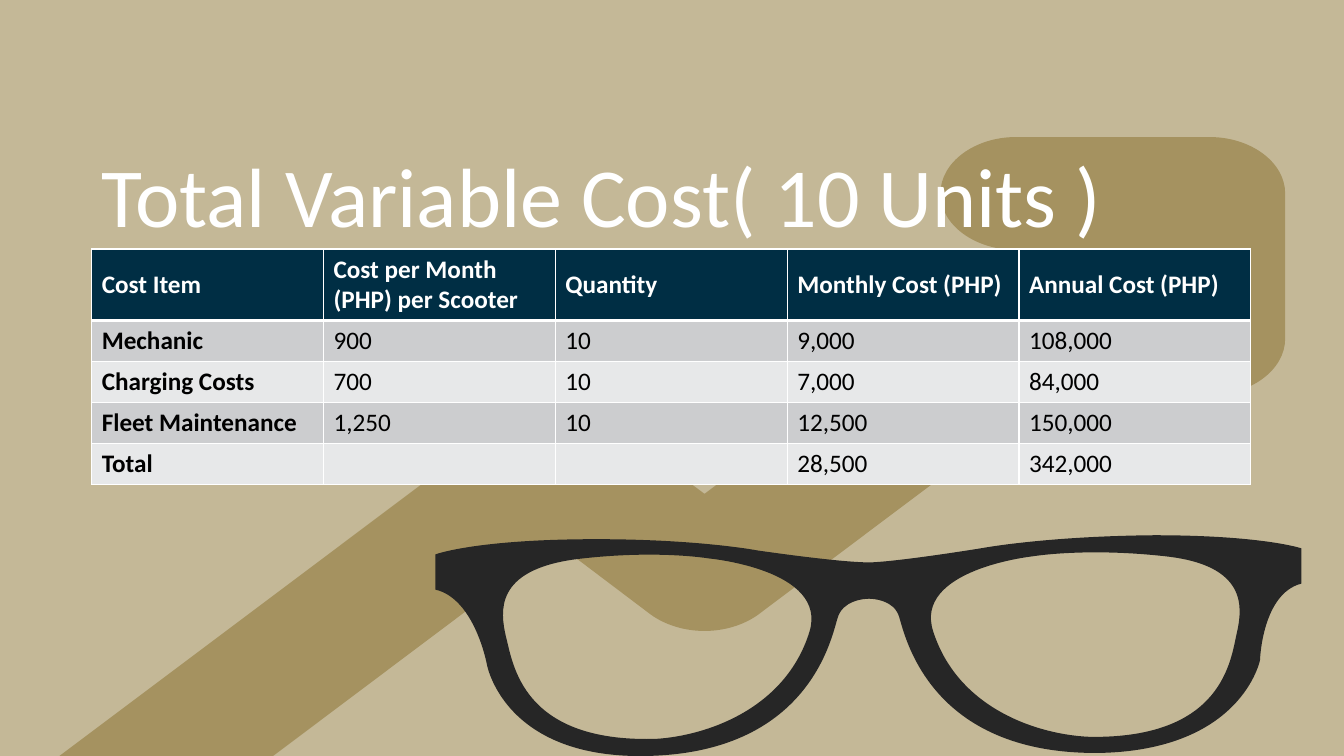
from dataclasses import dataclass

from lxml.etree import SubElement
from pptx import Presentation
from pptx.dml.color import RGBColor
from pptx.enum.text import MSO_ANCHOR, MSO_AUTO_SIZE, PP_ALIGN
from pptx.oxml.ns import qn
from pptx.shapes.autoshape import Shape
from pptx.slide import Slide
from pptx.table import _Cell
from pptx.text.text import Font
from pptx.util import Inches, Pt

COLORS = {
    "background": "C4B897",
    "trend": "A59260",
    "glasses": "262626",
    "header": "002E44",
    "odd_row": "CCCDCF",
    "even_row": "E7E8E9",
    "light": "FFFFFF",
    "dark": "000000",
}
FONT = "Calibri"
COLUMN_WIDTH = 2.3
HEADER_HEIGHT = 0.62
ROW_HEIGHT = 0.35

COSTS = [
    ("Cost Item", "Cost per Month (PHP) per Scooter", "Quantity",
     "Monthly Cost (PHP)", "Annual Cost (PHP)"),
    ("Mechanic", "900", "10", "9,000", "108,000"),
    ("Charging Costs", "700", "10", "7,000", "84,000"),
    ("Fleet Maintenance", "1,250", "10", "12,500", "150,000"),
    ("Total", "", "", "28,500", "342,000"),
]


@dataclass(frozen=True)
class Contour:
    """A closed outline; a step of 2 numbers is a line, of 6 a Bézier curve."""
    start: tuple[float, float]
    steps: list[tuple[float, ...]]


@dataclass(frozen=True)
class Silhouette:
    color: str
    contours: list[Contour]


TREND_ARROW = Silhouette("trend", [
    Contour((12, 1.36), [
        (10.08, 1.36),
        (9.67, 1.36, 9.33, 1.61, 9.33, 1.92),
        (9.33, 2.23, 9.67, 2.48, 10.08, 2.48),
        (10.22, 2.48), (6.99, 4.9), (6.05, 4.2),
        (5.76, 3.98, 5.28, 3.98, 4.99, 4.2),
        (0.59, 7.5), (2.71, 7.5), (5.52, 5.39), (6.46, 6.1),
        (6.6, 6.2, 6.79, 6.26, 6.99, 6.26),
        (7.19, 6.26, 7.38, 6.2, 7.52, 6.1),
        (11.25, 3.3), (11.25, 3.36),
        (11.25, 3.67, 11.58, 3.92, 12, 3.92),
        (12.41, 3.92, 12.75, 3.67, 12.75, 3.36),
        (12.75, 1.92),
        (12.75, 1.61, 12.41, 1.36, 12, 1.36),
    ]),
])

GLASSES = Silhouette("glasses", [
    Contour((12.91, 5.44), [
        (12.91, 5.79),
        (12.52, 5.89, 12.5, 6.55, 12.5, 6.55),
        (12.5, 6.55, 12.32, 7.45, 10.89, 7.47),
        (9.22, 7.48, 8.98, 6.31, 8.92, 6.12),
        (8.87, 5.95, 8.66, 5.94, 8.62, 5.94),
        (8.56, 5.94, 8.36, 5.96, 8.31, 6.13),
        (8.25, 6.32, 8.03, 7.49, 6.37, 7.5),
        (4.99, 7.51, 4.83, 6.59, 4.83, 6.59),
        (4.83, 6.59, 4.71, 5.94, 4.32, 5.85),
        (4.32, 5.5),
        (4.32, 5.5, 4.69, 5.36, 5.79, 5.35),
        (6.88, 5.34, 7.51, 5.46, 7.51, 5.46),
        (7.51, 5.46, 8.32, 5.58, 8.63, 5.58),
        (8.93, 5.57, 9.73, 5.44, 9.73, 5.44),
        (9.73, 5.44, 10.36, 5.32, 11.45, 5.31),
        (12.53, 5.31, 12.91, 5.44, 12.91, 5.44),
    ]),
    Contour((7.03, 5.54), [
        (7.03, 5.54, 6.5, 5.45, 5.7, 5.55),
        (4.91, 5.66, 4.96, 6.06, 5.02, 6.32),
        (5.09, 6.58, 5.17, 7.37, 6.51, 7.33),
        (7, 7.3, 7.79, 7.04, 8.03, 6.27),
        (8.22, 5.65, 7.03, 5.54, 7.03, 5.54),
    ]),
    Contour((9.26, 6.27), [
        (9.51, 7.04, 10.31, 7.29, 10.81, 7.31),
        (12.14, 7.33, 12.21, 6.54, 12.27, 6.28),
        (12.33, 6.02, 12.37, 5.61, 11.57, 5.52),
        (10.77, 5.43, 10.24, 5.52, 10.24, 5.52),
        (10.24, 5.52, 9.05, 5.65, 9.26, 6.27),
    ]),
])


def rgb(name: str) -> RGBColor:
    return RGBColor.from_string(COLORS[name])


def style_font(font: Font, size: int, color: str, bold: bool = False) -> None:
    font.name = FONT
    font.size = Pt(size)
    font.bold = bold
    font.color.rgb = rgb(color)


def bend_segments(shape: Shape, steps: list[tuple[float, ...]]) -> None:
    """Turn the straight segments whose step has control points into curves."""
    segments = list(shape.element.iter(qn("a:lnTo")))
    for segment, step in zip(segments, steps):
        if len(step) == 2:
            continue
        end = segment[0]
        segment.tag = qn("a:cubicBezTo")
        for x, y in (step[:2], step[2:4]):
            control = SubElement(segment, qn("a:pt"))
            control.set("x", str(Inches(x) - shape.left))
            control.set("y", str(Inches(y) - shape.top))
        segment.append(end)


def draw_silhouette(slide: Slide, silhouette: Silhouette) -> None:
    first = silhouette.contours[0].start
    builder = slide.shapes.build_freeform(*map(Inches, first))
    for contour in silhouette.contours:
        if contour.start != first:
            builder.move_to(*map(Inches, contour.start))
        corners = [(Inches(step[-2]), Inches(step[-1])) for step in contour.steps]
        builder.add_line_segments(corners, close=True)
    shape = builder.convert_to_shape()
    bend_segments(shape, [s for contour in silhouette.contours for s in contour.steps])
    shape.shadow.inherit = False
    shape.fill.solid()
    shape.fill.fore_color.rgb = rgb(silhouette.color)
    shape.line.fill.background()


def write_title(slide: Slide, wording: str) -> None:
    title = slide.shapes.title
    title.left, title.top = Inches(0.91), Inches(0.59)
    title.width, title.height = Inches(10.27), Inches(1.9)
    frame = title.text_frame
    frame.text = wording
    frame.word_wrap = True
    frame.auto_size = MSO_AUTO_SIZE.NONE
    frame.vertical_anchor = MSO_ANCHOR.BOTTOM
    heading = frame.paragraphs[0]
    heading.alignment = PP_ALIGN.LEFT
    heading.line_spacing = 0.9
    style_font(heading.runs[0].font, 60, "light")
    slide.shapes.element.append(title.element)  # in front of the silhouettes


def add_borders(cell: _Cell, row: int) -> None:
    """Rule all four sides in white, thicker between header and body."""
    properties = cell._tc.get_or_add_tcPr()
    thick_side = {0: "lnB", 1: "lnT"}.get(row)
    for side in ("lnL", "lnR", "lnT", "lnB"):
        width = Pt(3 if side == thick_side else 1)
        line = SubElement(properties, qn(f"a:{side}"), w=str(width))
        fill = SubElement(line, qn("a:solidFill"))
        SubElement(fill, qn("a:srgbClr"), val=COLORS["light"])


def add_cost_table(slide: Slide) -> None:
    rows, columns = len(COSTS), len(COSTS[0])
    height = HEADER_HEIGHT + (rows - 1) * ROW_HEIGHT
    costs = slide.shapes.add_table(
        rows, columns, Inches(0.91), Inches(2.47),
        Inches(columns * COLUMN_WIDTH), Inches(height),
    ).table
    for column in costs.columns:
        column.width = Inches(COLUMN_WIDTH)
    for r, entries in enumerate(COSTS):
        costs.rows[r].height = Inches(ROW_HEIGHT if r else HEADER_HEIGHT)
        fill = "header" if r == 0 else "odd_row" if r % 2 else "even_row"
        for c, entry in enumerate(entries):
            cell = costs.cell(r, c)
            add_borders(cell, r)
            cell.fill.solid()
            cell.fill.fore_color.rgb = rgb(fill)
            cell.vertical_anchor = MSO_ANCHOR.MIDDLE
            cell.text_frame.text = entry
            for run in cell.text_frame.paragraphs[0].runs:
                style_font(run.font, 18, "dark" if r else "light", r == 0 or c == 0)


def main() -> None:
    deck = Presentation()
    deck.slide_width, deck.slide_height = Inches(40 / 3), Inches(7.5)
    slide = deck.slides.add_slide(deck.slide_layouts.get_by_name("Title Only"))
    slide.background.fill.solid()
    slide.background.fill.fore_color.rgb = rgb("background")
    for silhouette in (TREND_ARROW, GLASSES):
        draw_silhouette(slide, silhouette)
    write_title(slide, "Total Variable Cost( 10 Units )")
    add_cost_table(slide)
    deck.save("out.pptx")


if __name__ == "__main__":
    main()
